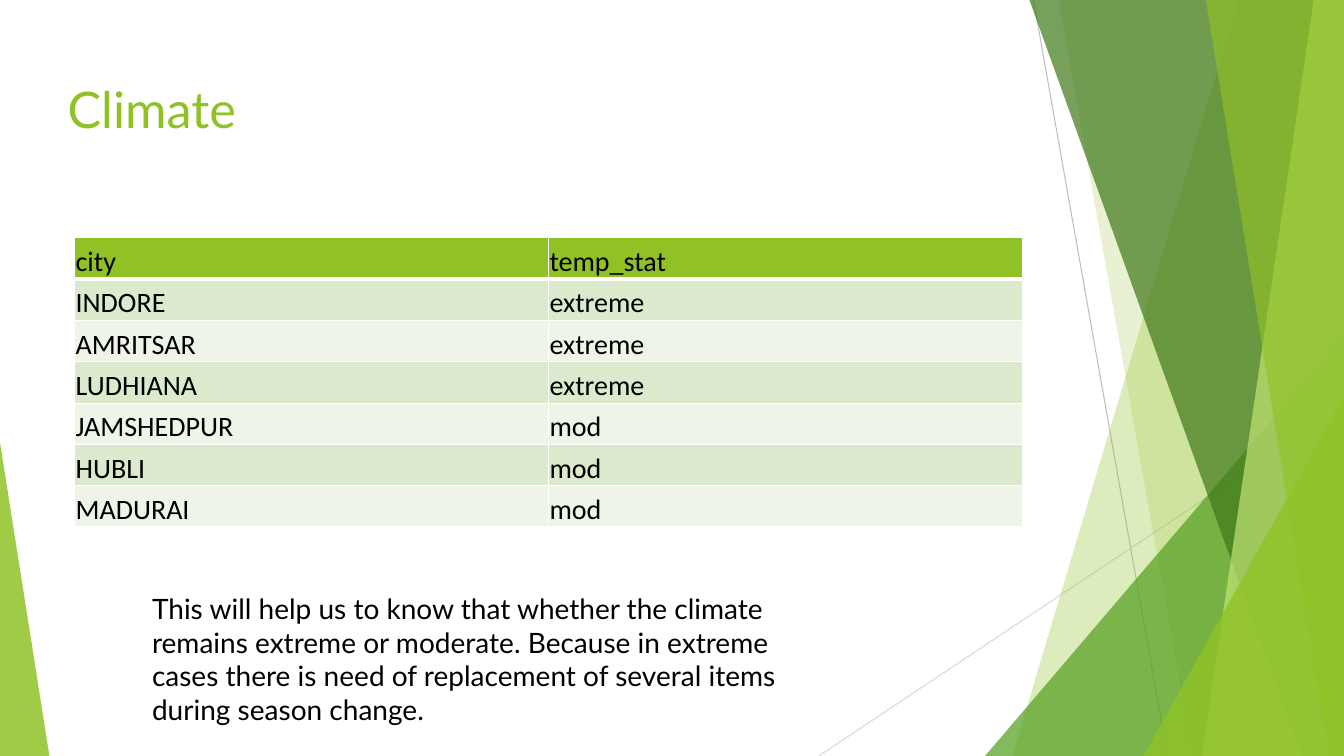
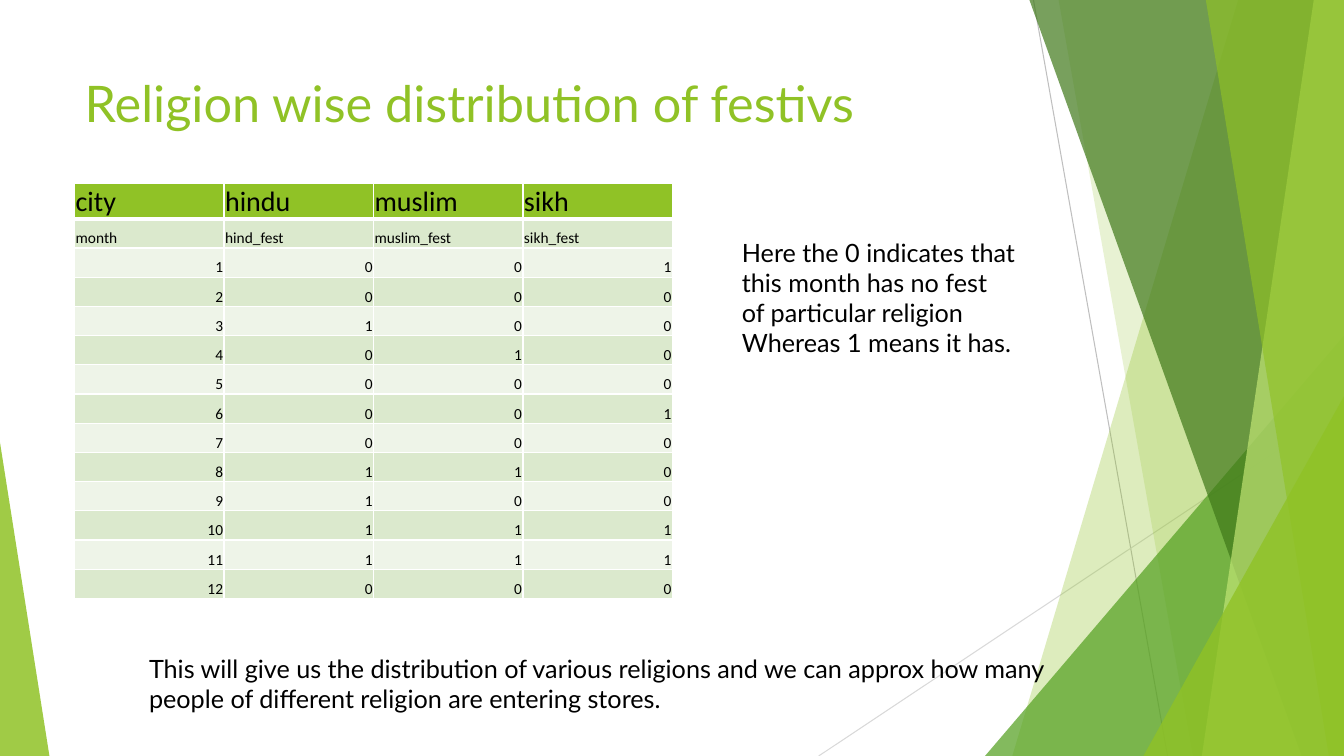
from lxml.etree import SubElement
from pptx import Presentation
from pptx.dml.color import RGBColor
from pptx.enum.shapes import MSO_CONNECTOR, MSO_SHAPE
from pptx.enum.text import MSO_ANCHOR, MSO_AUTO_SIZE, PP_ALIGN
from pptx.oxml.ns import qn
from pptx.util import Inches, Pt

BLACK = RGBColor(0x00, 0x00, 0x00)
WHITE = RGBColor(0xFF, 0xFF, 0xFF)
LIME = RGBColor(0x90, 0xC2, 0x26)
GREEN = RGBColor(0x54, 0xA0, 0x21)
FOREST = RGBColor(0x3F, 0x78, 0x19)
PALE_LIME = RGBColor(0xC0, 0xE4, 0x74)
BAND_DARK = RGBColor(0xDB, 0xE9, 0xCD)
BAND_LIGHT = RGBColor(0xEE, 0xF4, 0xE8)
GREY = RGBColor(0xBF, 0xBF, 0xBF)
LIGHT_GREY = RGBColor(0xD9, 0xD9, 0xD9)

TEXT_FONT = "Lato"
TABLE_FONT = "Calibri"
SLIDE_W, SLIDE_H = 13.33, 7.5

CLIMATE = [
    ("city", "temp_stat"),
    ("INDORE", "extreme"),
    ("AMRITSAR", "extreme"),
    ("LUDHIANA", "extreme"),
    ("JAMSHEDPUR", "mod"),
    ("HUBLI", "mod"),
    ("MADURAI", "mod"),
]
# One (hindu, muslim, sikh) triple for each month
FESTIVALS = ["001", "000", "100", "010", "000", "001",
             "000", "110", "100", "111", "111", "000"]


def write(tf, text, size, font=TEXT_FONT, color=BLACK, align=PP_ALIGN.LEFT):
    """Fill a text frame; \\n starts a paragraph and \\v breaks a line."""
    tf.text = text
    for p in tf.paragraphs:
        p.alignment = align
        for r in p.runs:
            r.font.name = font
            r.font.size = Pt(size)
            r.font.bold = False
            r.font.color.rgb = color


def add_text(s, box, text, size):
    tf = s.shapes.add_textbox(*map(Inches, box)).text_frame
    tf.word_wrap = True
    write(tf, text, size)


def set_title(s, box, text):
    title = s.shapes.title
    title.left, title.top, title.width, title.height = map(Inches, box)
    tf = title.text_frame
    tf.vertical_anchor = MSO_ANCHOR.TOP
    tf.auto_size = MSO_AUTO_SIZE.NONE
    write(tf, text, 36, color=LIME)


def paint(sp, color, opacity):
    sp.shadow.inherit = False
    sp.line.fill.background()
    sp.fill.solid()
    sp.fill.fore_color.rgb = color
    clr = sp.element.spPr.find(qn("a:solidFill")).find(qn("a:srgbClr"))
    SubElement(clr, qn("a:alpha")).set("val", str(opacity * 1000))


def add_line(shapes, start, end, color):
    line = shapes.add_connector(MSO_CONNECTOR.STRAIGHT,
                                *map(Inches, start + end))
    line.line.color.rgb = color
    line.line.width = Pt(0.75)
    SubElement(line.element.spPr, qn("a:effectLst"))


def add_facet(shapes, top_x, bottom_x, color, opacity):
    """Full-height panel from a slanted left edge to the slide's right edge."""
    corners = [(top_x, 0), (SLIDE_W, 0), (SLIDE_W, SLIDE_H), (bottom_x, SLIDE_H)]
    points = [(Inches(x), Inches(y)) for x, y in corners]
    builder = shapes.build_freeform(*points[0])
    builder.add_line_segments(points[1:])
    paint(builder.convert_to_shape(), color, opacity)


def add_corner(shapes, left, top, width, apex, color, opacity):
    """Triangle standing on the slide's bottom edge; apex 0 is left, 1 right."""
    sp = shapes.add_shape(MSO_SHAPE.ISOSCELES_TRIANGLE, Inches(left), Inches(top),
                          Inches(width), Inches(SLIDE_H - top))
    sp.adjustments[0] = apex
    paint(sp, color, opacity)


def move_backdrop_to_layout(s):
    """Draw the facets as a group and hand it to the layout all slides use."""
    group = s.shapes.add_group_shape()
    shapes = group.shapes
    add_line(shapes, (10.25, 0), (11.58, SLIDE_H), GREY)
    add_line(shapes, (SLIDE_W, 4.03), (8.12, SLIDE_H), LIGHT_GREY)
    add_facet(shapes, 12.28, 10.04, LIME, 30)
    add_facet(shapes, 10.5, 11.83, LIME, 20)
    add_corner(shapes, 9.77, 3.33, 3.56, 1, GREEN, 72)
    add_facet(shapes, 10.21, 12.91, FOREST, 70)
    add_facet(shapes, 13.03, 11.92, PALE_LIME, 70)
    add_facet(shapes, 11.96, 13.18, LIME, 65)
    add_corner(shapes, 11.34, 3.93, 1.99, 1, LIME, 80)
    add_corner(shapes, 0, 4.39, 0.49, 0, LIME, 85)
    for number, props in enumerate(group.element.iter(qn("p:cNvPr")), 100):
        props.set("id", str(number))
    s.slide_layout.shapes.element.append(group.element)


def set_borders(cell, row):
    widths = {"L": 1, "R": 1, "T": 3 if row == 1 else 1, "B": 3 if row == 0 else 1}
    tc_pr = cell._tc.get_or_add_tcPr()
    for side, width in widths.items():
        ln = SubElement(tc_pr, qn(f"a:ln{side}"), w=str(Pt(width)))
        SubElement(SubElement(ln, qn("a:solidFill")), qn("a:srgbClr"),
                   val=str(WHITE))


def add_banded_table(s, box, rows, header_h, row_h, body_size):
    left, top, width = box
    height = header_h + row_h * (len(rows) - 1)
    table = s.shapes.add_table(len(rows), len(rows[0]), Inches(left), Inches(top),
                               Inches(width), Inches(height)).table
    table.horz_banding = False
    for i, row in enumerate(rows):
        table.rows[i].height = Inches(row_h if i else header_h)
        band = BAND_DARK if i % 2 else BAND_LIGHT
        for j, text in enumerate(row):
            cell = table.cell(i, j)
            cell.margin_left = cell.margin_right = cell.margin_top = Inches(0.01)
            cell.margin_bottom = 0
            cell.vertical_anchor = MSO_ANCHOR.BOTTOM
            set_borders(cell, i)
            cell.fill.solid()
            cell.fill.fore_color.rgb = band if i else LIME
            write(cell.text_frame, text, body_size if i else 20, font=TABLE_FONT,
                  align=PP_ALIGN.RIGHT if text.isdigit() else PP_ALIGN.LEFT)


def build_climate(s):
    set_title(s, (0.57, 0.72, 9.4, 1.44), "Climate")
    add_banded_table(s, (0.74, 2.36, 9.4), CLIMATE, 0.41, 0.41, 20)
    add_text(s, (1.41, 5.82, 6.67, 1.45),
             "This will help us to know that whether the climate remains extreme "
             "or moderate. Because in extreme cases there is need of replacement "
             "of several items during season change.", 20)


def build_festivals(s):
    set_title(s, (0.74, 0.67, 9.4, 1.44), "Religion wise distribution of festivs")
    rows = [("city", "hindu", "muslim", "sikh"),
            ("month", "hind_fest", "muslim_fest", "sikh_fest")]
    rows += [(str(month), *flags) for month, flags in enumerate(FESTIVALS, 1)]
    add_banded_table(s, (0.74, 1.82, 5.93), rows, 0.32, 0.29, 11)
    add_text(s, (1.38, 6.43, 9.62, 0.71),
             "This will give us the distribution of various religions and we can "
             "approx how many people of different religion are entering stores.", 18)
    add_text(s, (7.26, 2.3, 3.12, 1.31),
             "Here the 0 indicates that\vthis month has no fest\v"
             "of particular religion\nWhereas 1 means it has.", 18)


def main():
    prs = Presentation()
    prs.slide_width, prs.slide_height = Inches(SLIDE_W), Inches(SLIDE_H)
    title_only = prs.slide_layouts[5]
    climate, festivals = (prs.slides.add_slide(title_only) for _ in range(2))
    move_backdrop_to_layout(climate)
    build_climate(climate)
    build_festivals(festivals)
    prs.save("out.pptx")


if __name__ == "__main__":
    main()
